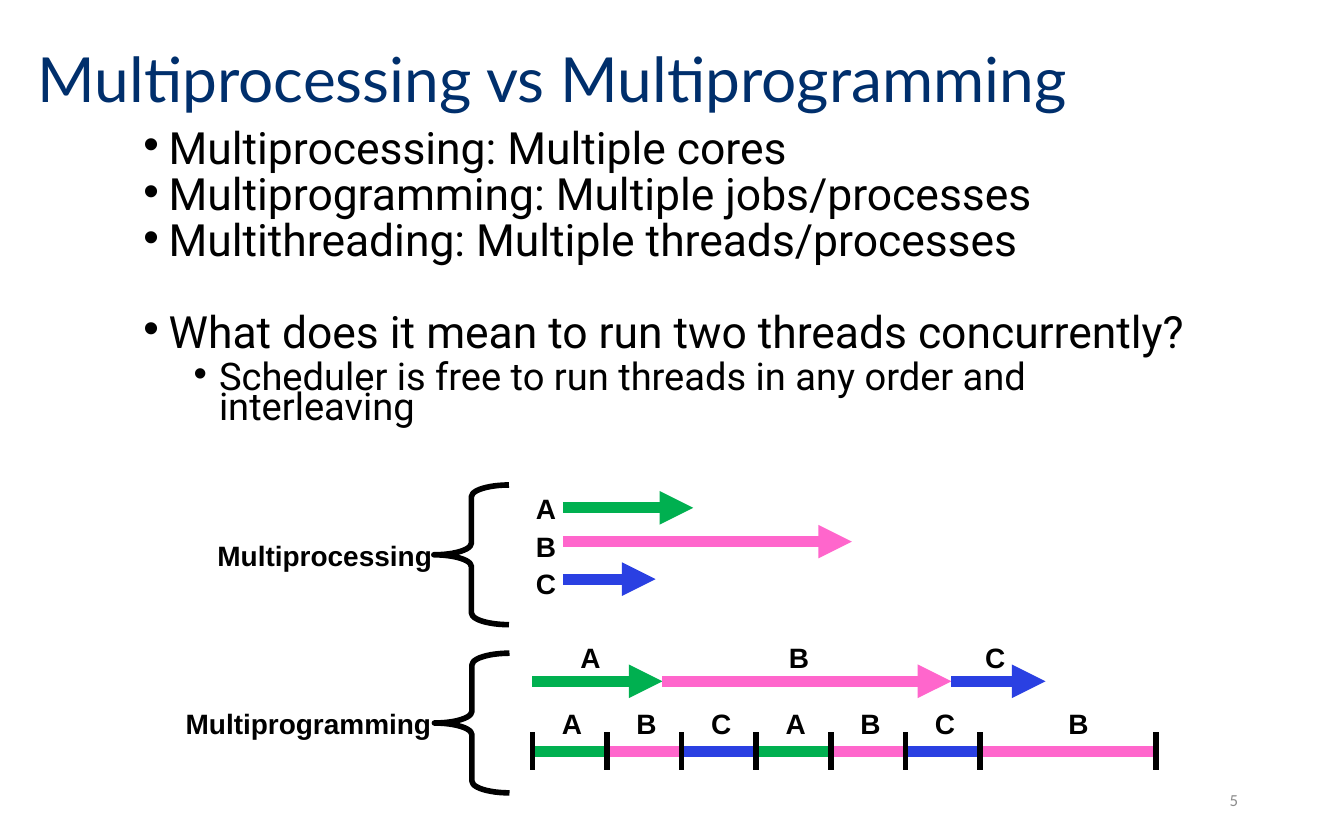
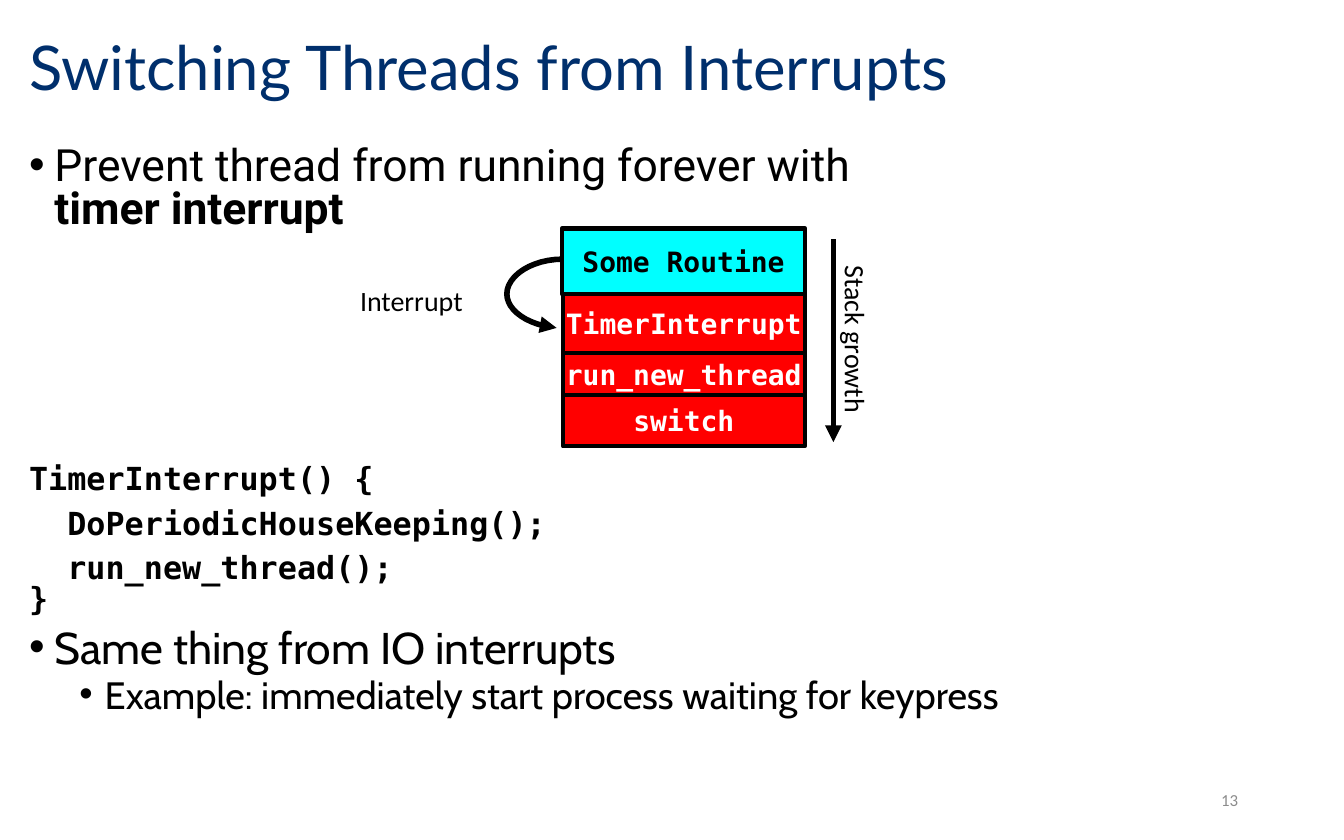
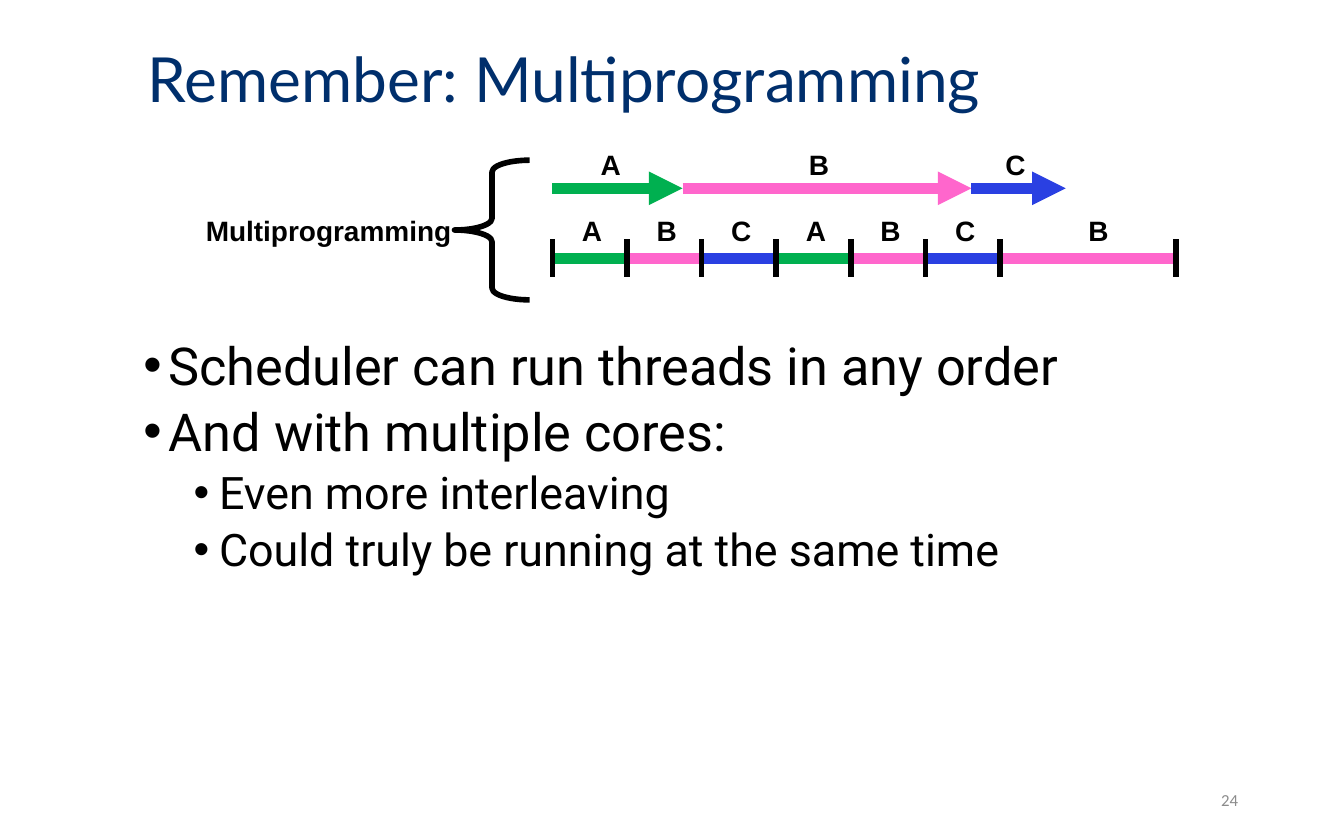
"""Build three slides on multiprogramming and thread switching."""
from lxml.etree import SubElement
from pptx import Presentation
from pptx.dml.color import RGBColor
from pptx.enum.shapes import MSO_CONNECTOR, MSO_SHAPE
from pptx.enum.text import MSO_ANCHOR, MSO_AUTO_SIZE, PP_ALIGN
from pptx.oxml.ns import qn
from pptx.util import Cm, Pt

COLOURS = {
    "title": "002F6C", "text": "000000", "number": "8C8C8C", "white": "FFFFFF",
    "A": "00B050", "B": "FF66CC", "C": "2A40E2",
    "routine": "00FFFF", "handler": "FF0000",
}
MONO = "DejaVu Sans Mono"
LABEL_SIZE = 15
LABEL_WIDTH, LABEL_HEIGHT = 0.9, 0.89
BULLET_INDENT, LEVEL_INDENT = 0.48, 0.95


def colour(name):
    return RGBColor.from_string(COLOURS[name])


def bezier(start, first, second, end, steps=12):
    """Yield points along a cubic curve, leaving out its start."""
    for step in range(1, steps + 1):
        t = step / steps
        weights = ((1 - t) ** 3, 3 * t * (1 - t) ** 2, 3 * t * t * (1 - t), t ** 3)
        corners = (start, first, second, end)
        yield tuple(sum(w * c[axis] for w, c in zip(weights, corners)) for axis in (0, 1))


class Painter:
    def __init__(self):
        self.deck = Presentation()
        self.deck.slide_width, self.deck.slide_height = Cm(25.4), Cm(15.88)

    def page(self, number, title, left, top, width, height, size=33.3):
        self.shapes = self.deck.slides.add_slide(self.deck.slide_layouts[6]).shapes
        frame = self.frame(left, top, width, height, MSO_ANCHOR.MIDDLE)
        para = frame.paragraphs[0]
        para.line_spacing = 0.9
        self.span(para, title, "Lato", size, "title")
        para = self.frame(17.93, 14.71, 5.72, 0.84, MSO_ANCHOR.MIDDLE).paragraphs[0]
        para.alignment = PP_ALIGN.RIGHT
        self.span(para, str(number), "Calibri", 9, "number")

    def frame(self, left, top, width, height, anchor=MSO_ANCHOR.TOP):
        box = self.shapes.add_textbox(Cm(left), Cm(top), Cm(width), Cm(height))
        box.text_frame.word_wrap = True
        box.text_frame.vertical_anchor = anchor
        return box.text_frame

    def span(self, para, text, font, size, ink="text", bold=False):
        for index, line in enumerate(text.split("\n")):
            if index:
                para.add_line_break()
            if line:
                span = para.add_run()
                span.text = line
                span.font.name, span.font.size, span.font.bold = font, Pt(size), bold
                span.font.color.rgb = colour(ink)

    def para(self, frame, spacing, before, spans, font="Roboto", size=23.8, level=0, bullet=True):
        first = not frame.paragraphs[0].runs
        para = frame.paragraphs[0] if first else frame.add_paragraph()
        para.level, para.line_spacing = level, spacing
        para.space_before = Pt(0 if first else before)
        if bullet:
            properties = para._p.get_or_add_pPr()
            properties.set("marL", str(Cm(BULLET_INDENT + level * LEVEL_INDENT)))
            properties.set("indent", str(-Cm(BULLET_INDENT)))
            SubElement(properties, qn("a:buFont"), typeface="Arial")
            SubElement(properties, qn("a:buChar"), char="•")
        for text, bold in spans:
            self.span(para, text, font, size, bold=bold)

    def label(self, text, left, top, width=LABEL_WIDTH, font="Arial", bold=True,
              align=PP_ALIGN.LEFT, rotation=0):
        box = self.shapes.add_textbox(Cm(left), Cm(top), Cm(width), Cm(LABEL_HEIGHT))
        box.rotation = rotation
        box.text_frame.word_wrap = False
        box.text_frame.auto_size = MSO_AUTO_SIZE.SHAPE_TO_FIT_TEXT
        para = box.text_frame.paragraphs[0]
        para.alignment = align
        self.span(para, text, font, LABEL_SIZE, bold=bold)

    def stroke(self, shape, ink, width, arrow=False):
        shape.line.color.rgb = colour(ink)
        shape.line.width = Pt(width)
        if arrow:
            SubElement(shape._element.spPr.find(qn("a:ln")), qn("a:tailEnd"), type="triangle")

    def line(self, start, end, ink="text", width=3, arrow=False):
        connector = self.shapes.add_connector(
            MSO_CONNECTOR.STRAIGHT, *(Cm(value) for value in (*start, *end)))
        self.stroke(connector, ink, width, arrow)
        SubElement(connector._element.spPr, qn("a:effectLst"))

    def brace(self, text, left, top, text_width):
        brace = self.shapes.add_shape(
            MSO_SHAPE.LEFT_BRACE, Cm(left), Cm(top), Cm(1.42), Cm(2.64))
        brace.adjustments[0] = 0.156
        brace.shadow.inherit = False
        brace.fill.background()
        self.stroke(brace, "text", 3)
        self.label(text, left + 0.26 - text_width, top + 0.89, text_width)

    def frame_box(self, text, left, top, width, height, fill, ink):
        box = self.shapes.add_shape(
            MSO_SHAPE.RECTANGLE, Cm(left), Cm(top), Cm(width), Cm(height))
        box.shadow.inherit = False
        box.fill.solid()
        box.fill.fore_color.rgb = colour(fill)
        self.stroke(box, "text", 2.25)
        box.text_frame.word_wrap = False
        box.text_frame.vertical_anchor = MSO_ANCHOR.MIDDLE
        para = box.text_frame.paragraphs[0]
        para.alignment = PP_ALIGN.CENTER
        self.span(para, text, MONO, LABEL_SIZE, ink, True)

    def curved_arrow(self, start, *curves):
        points = [start]
        for curve in curves:
            points.extend(bezier(points[-1], *curve))
        points = [(Cm(x), Cm(y)) for x, y in points]
        builder = self.shapes.build_freeform(*points[0])
        builder.add_line_segments(points[1:], close=False)
        arrow = builder.convert_to_shape()
        arrow.shadow.inherit = False
        arrow.fill.background()
        self.stroke(arrow, "text", 3, True)

    def multiprogramming(self, left, top):
        start = left
        for job, length, offset in (("A", 2.46, 0.66), ("B", 5.46, 2.14), ("C", 1.78, 0.39)):
            self.line((start, top), (start + length, top), job, 6, True)
            self.label(job, start + offset, top - 0.89)
            start += length
        slot_top, start = top + 1.32, left
        slots = [(job, 1.41, 0.31) for job in "ABCABC"] + [("B", 3.33, 1.42)]
        for job, length, offset in slots:
            self.line((start, slot_top), (start + length, slot_top), job, 6)
            self.tick(start, slot_top)
            self.label(job, start + offset, top + 0.36)
            start += length
        self.tick(start, slot_top)
        self.brace("Multiprogramming", left - 1.85, top - 0.53, 5.21)

    def tick(self, x, y):
        self.line((x, y - 0.36), (x, y + 0.36))


def concurrency_page(painter):
    painter.page(5, "Multiprocessing vs Multiprogramming", 0.46, 0.03, 21.79, 3.07)
    frame = painter.frame(2.46, 2.46, 20.17, 6.17)
    for text, before in (
        ("Multiprocessing: Multiple cores", 0),
        ("Multiprogramming: Multiple jobs/processes", 6.2),
        ("Multithreading: Multiple threads/processes", 6.2),
        ("What does it mean to run two threads concurrently?", 30.5),
    ):
        painter.para(frame, 0.65, before, [(text, False)])
    text = "Scheduler is free to run threads in any order and interleaving"
    painter.para(frame, 0.65, 6, [(text, False)], size=20.4, level=1)
    painter.multiprogramming(10.06, 12.88)
    for index, (job, y, length) in enumerate(
            (("A", 9.6, 2.46), ("B", 10.24, 5.46), ("C", 10.95, 1.75))):
        painter.label(job, 9.88, 9.17 + index * 0.71)
        painter.line((10.64, y), (10.64 + length, y), job, 6, True)
    painter.brace("Multiprocessing", 8.2, 9.17, 4.6)


def interrupt_page(painter):
    painter.page(13, "Switching Threads from Interrupts", 0.3, 0.25, 21.64, 2.18, 33)
    frame = painter.frame(0.3, 2.67, 24.82, 11.63)
    painter.para(frame, 0.8, 0, [("Prevent thread from running forever with\n", False),
                                 ("timer interrupt", True)])
    for text, before in (
        ("TimerInterrupt() {", 125),
        ("  DoPeriodicHouseKeeping();", 7.5),
        ("  run_new_thread();\n}", 7.5),
    ):
        painter.para(frame, 0.8, before, [(text, True)], MONO, 17, bullet=False)
    painter.para(frame, 0.8, 7.5, [("Same thing from IO interrupts", False)], "Cabin")
    text = "Example: immediately start process waiting for keypress"
    painter.para(frame, 0.8, 3.8, [(text, False)], "Cabin", 20.4, 1)

    painter.frame_box("Some Routine", 10.62, 4.32, 4.6, 1.24, "routine", "text")
    top = 5.56
    for name, height in (("TimerInterrupt", 1.12), ("run_new_thread", 0.79), ("switch", 0.97)):
        painter.frame_box(name, 10.64, top, 4.57, height, "handler", "white")
        top += height
    painter.curved_arrow((10.64, 4.9), ((10.06, 4.9), (9.58, 5.21), (9.58, 5.56)),
                         ((9.58, 5.87), (9.98, 6.15), (10.52, 6.2)))
    painter.label("Interrupt", 6.53, 5.23, 2.49, "Calibri", False, PP_ALIGN.CENTER)
    painter.label("Stack growth", 14.5, 5.97, 3.35, "Calibri", False, PP_ALIGN.CENTER, 90)
    painter.line((15.75, 4.52), (15.75, 8.36), arrow=True)


def reminder_page(painter):
    painter.page(24, "Remember: Multiprogramming", 2.54, 0.03, 19.71, 3.07)
    frame = painter.frame(2.46, 6.35, 20.17, 6.17)
    for text, size, level in (
        ("Scheduler can run threads in any order", 28, 0),
        ("And with multiple cores:", 28, 0),
        ("Even more interleaving", 24, 1),
        ("Could truly be running at the same time", 24, 1),
    ):
        painter.para(frame, 0.85, size / 4, [(text, False)], size=size, level=level)
    painter.multiprogramming(10.44, 3.56)


def main():
    painter = Painter()
    concurrency_page(painter)
    interrupt_page(painter)
    reminder_page(painter)
    painter.deck.save("out.pptx")


if __name__ == "__main__":
    main()
